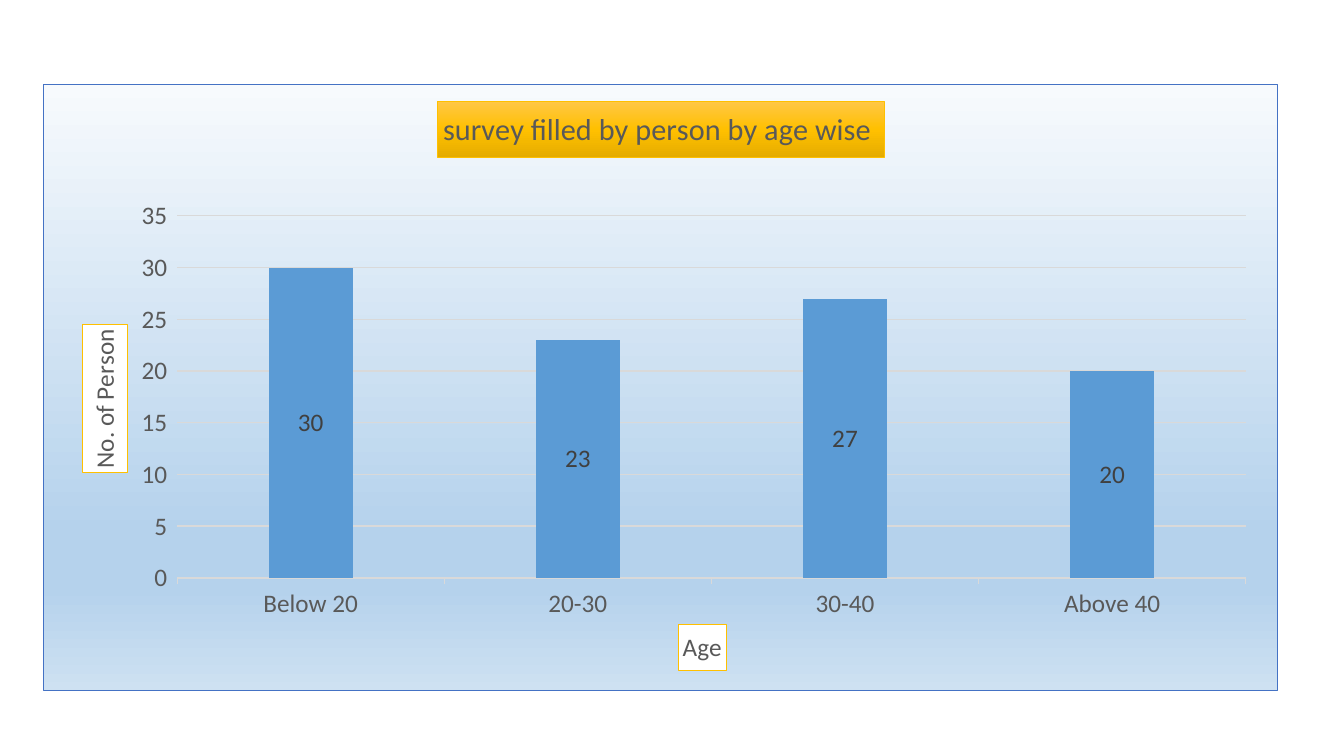
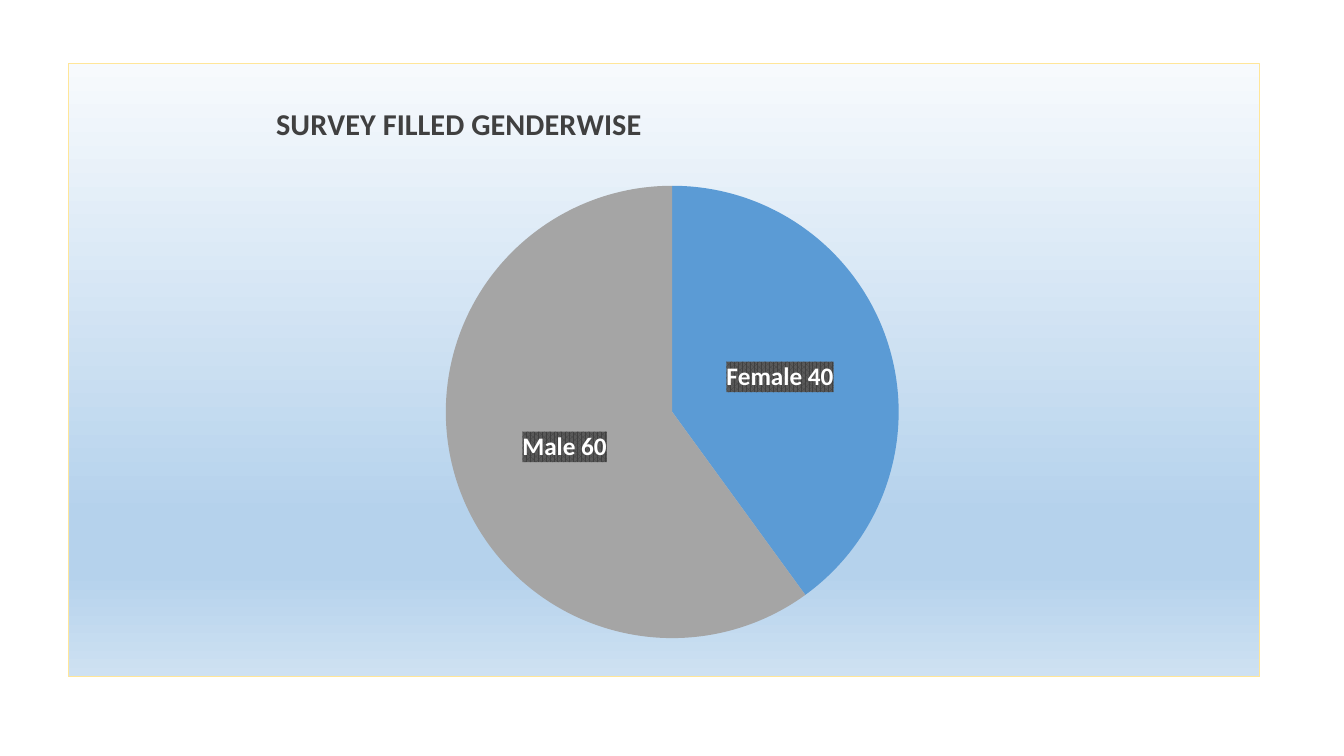
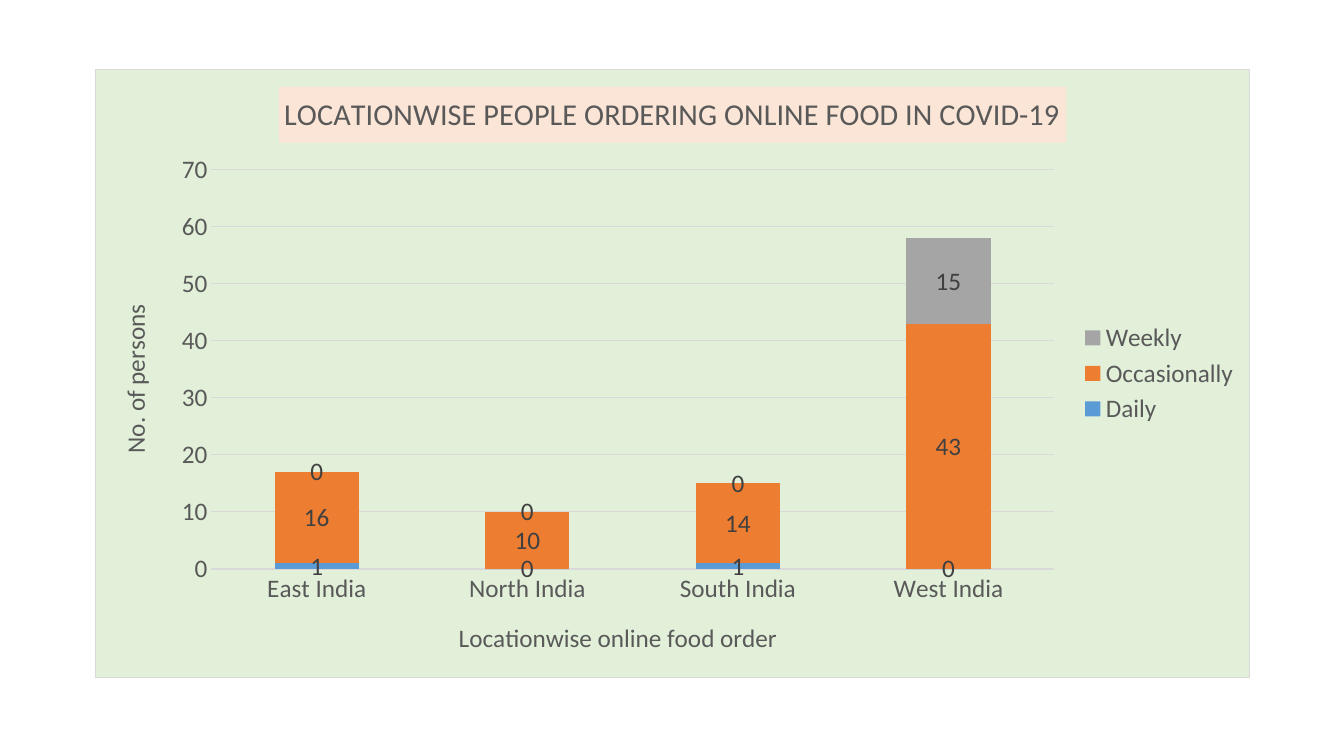
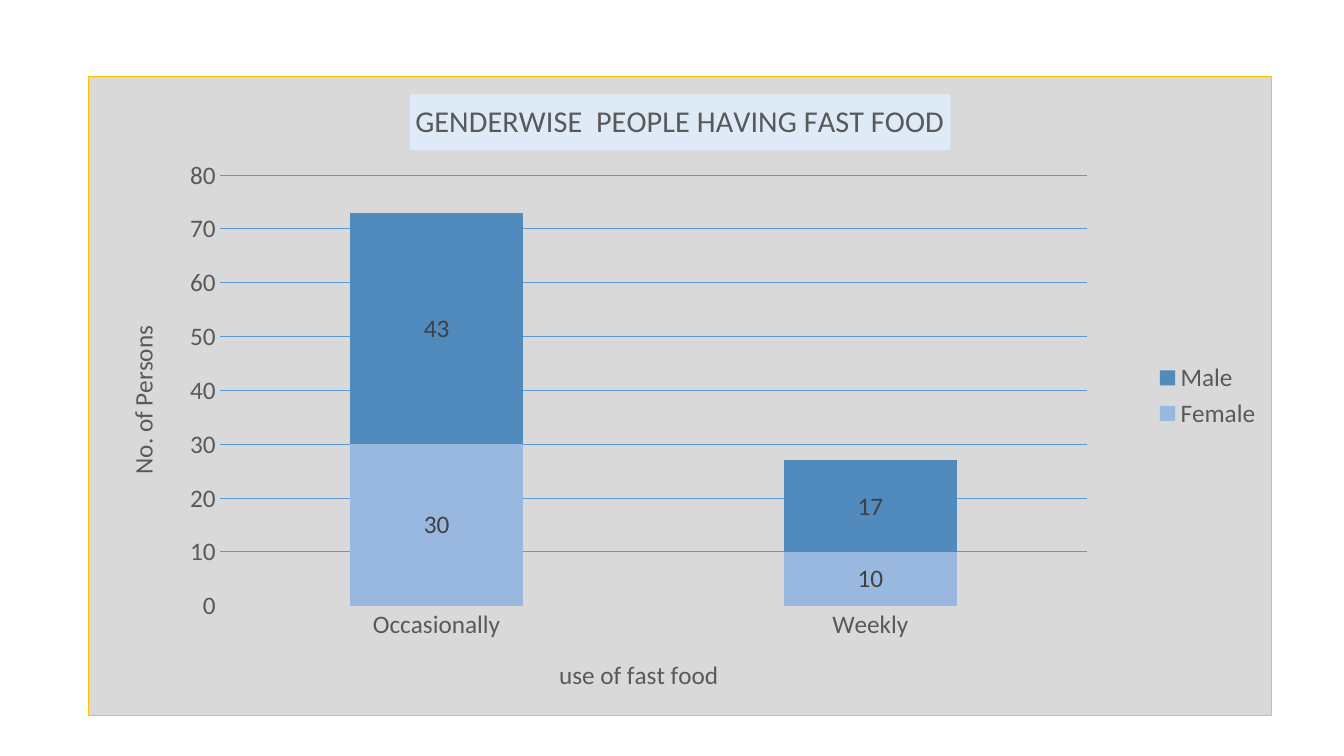
"""Build four slides of survey charts."""
import pptx
import pptx.chart.data
import pptx.dml.color
import pptx.dml.fill
import pptx.dml.line
import pptx.enum.chart
import pptx.oxml
import pptx.oxml.ns
import pptx.util

RGBColor = pptx.dml.color.RGBColor
ChartType = pptx.enum.chart.XL_CHART_TYPE
TickMark = pptx.enum.chart.XL_TICK_MARK
qn = pptx.oxml.ns.qn

PX = 9144
FONT = "Calibri"
BODY_SIZE = 18
TITLE_SIZE = 21.6

WHITE = RGBColor(0xFF, 0xFF, 0xFF)
TEXT_GRAY = RGBColor(0x59, 0x59, 0x59)
DARK_GRAY = RGBColor(0x40, 0x40, 0x40)
LINE_GRAY = RGBColor(0xD9, 0xD9, 0xD9)
GRAY = RGBColor(0xA5, 0xA5, 0xA5)
BLUE = RGBColor(0x5B, 0x9B, 0xD5)
BORDER_BLUE = RGBColor(0x44, 0x72, 0xC4)
SOFT_BLUE = RGBColor(0x98, 0xB8, 0xE0)
STEEL_BLUE = RGBColor(0x51, 0x8A, 0xBD)
PALE_BLUE = RGBColor(0xDE, 0xEB, 0xF7)
ORANGE = RGBColor(0xED, 0x7D, 0x31)
PALE_ORANGE = RGBColor(0xFB, 0xE5, 0xD6)
PALE_GREEN = RGBColor(0xE2, 0xF0, 0xD9)
GOLD = RGBColor(0xFF, 0xC0, 0x00)
PALE_GOLD = RGBColor(0xFF, 0xE6, 0x99)

SKY_GRADIENT = (
    (0, RGBColor(0xF7, 0xFA, 0xFD)),
    (74, RGBColor(0xB5, 0xD2, 0xEC)),
    (83, RGBColor(0xB5, 0xD2, 0xEC)),
    (100, RGBColor(0xCE, 0xE1, 0xF2)),
)
GOLD_GRADIENT = (
    (0, RGBColor(0xFF, 0xC7, 0x46)),
    (50, GOLD),
    (100, RGBColor(0xE5, 0xAC, 0x00)),
)


def make_element(tag, content="", attributes=""):
    """Return a new chart or drawing element."""
    names = pptx.oxml.ns.nsdecls("c", "a")
    return pptx.oxml.parse_xml(f"<{tag} {names} {attributes}>{content}</{tag}>")


def style_font(font, color, size=BODY_SIZE, bold=False):
    """Set the typeface, size, weight and colour of a font."""
    font.name = FONT
    font.size = pptx.util.Pt(size)
    font.bold = bold
    font.color.rgb = color


def style_line(line, color, width=0.75):
    """Set the colour and width of a line."""
    line.color.rgb = color
    line.width = pptx.util.Pt(width)


def paint(properties, fill, border=None):
    """Fill an area with a colour or gradient stops and draw its border."""
    if isinstance(fill, RGBColor):
        area_fill = pptx.dml.fill.FillFormat.from_fill_parent(properties)
        area_fill.solid()
        area_fill.fore_color.rgb = fill
    else:
        stops = "".join(
            f'<a:gs pos="{percent * 1000}"><a:srgbClr val="{color}"/></a:gs>'
            for percent, color in fill
        )
        content = f'<a:gsLst>{stops}</a:gsLst><a:lin ang="5400000" scaled="0"/>'
        properties.insert(0, make_element("a:gradFill", content))
    if border is not None:
        style_line(pptx.dml.line.LineFormat(properties), border)


def place(element, position, index):
    """Give a title or plot area a manual layout in fractions of the chart."""
    old_layout = element.find(qn("c:layout"))
    if old_layout is not None:
        element.remove(old_layout)
    tags = ["xMode", "yMode", "x", "y", "w", "h"]
    values = ["edge", "edge", *position]
    content = "".join(f'<c:{tag} val="{value}"/>' for tag, value in zip(tags, values))
    if len(position) == 4:
        content = '<c:layoutTarget val="inner"/>' + content
    layout = make_element("c:layout", f"<c:manualLayout>{content}</c:manualLayout>")
    element.insert(index, layout)


def set_title(title, text, size=BODY_SIZE, color=TEXT_GRAY, bold=False,
              fill=None, border=None, position=None):
    """Write, style and place a chart title or an axis title."""
    title.text_frame.text = text
    for para in title.text_frame.paragraphs:
        style_font(para.font, color, size, bold)
        for span in para.runs:
            style_font(span.font, color, size, bold)
    element = title.text_frame._txBody.getparent().getparent()
    if fill is not None:
        paint(element.get_or_add_spPr(), fill, border)
    if position is not None:
        place(element, position, 1)


def add_chart(deck, kind, box, categories, series, fill, border, title, plot_area=None):
    """Add a slide that holds one chart with a painted background and a title."""
    page = deck.slides.add_slide(deck.slide_layouts[6])
    data = pptx.chart.data.CategoryChartData()
    data.categories = categories
    for name, values in series:
        data.add_series(name, values)
    chart = page.shapes.add_chart(kind, *(length * PX for length in box), data).chart
    style_font(chart.font, TEXT_GRAY)
    root = chart._chartSpace
    if root.find(qn("c:roundedCorners")) is None:
        root.insert(0, make_element("c:roundedCorners", attributes='val="0"'))
    properties = make_element("c:spPr")
    root.find(qn("c:chart")).addnext(properties)
    paint(properties, fill, border)
    chart.has_legend = False
    chart.has_title = True
    set_title(chart.chart_title, size=TITLE_SIZE, **title)
    if plot_area:
        place(root.find(qn("c:chart")).find(qn("c:plotArea")), plot_area, 0)
    return chart


def style_labels(labels, color=DARK_GRAY, bold=False):
    """Show centred values as data labels."""
    style_font(labels.font, color, bold=bold)
    labels.show_value = True
    labels.position = pptx.enum.chart.XL_LABEL_POSITION.CENTER


def style_columns(chart, colors, gap, overlap):
    """Colour and label the columns of a chart."""
    plot = chart.plots[0]
    plot.vary_by_categories = False
    plot.gap_width = gap
    plot.overlap = overlap
    for series, color in zip(plot.series, colors):
        series.format.fill.solid()
        series.format.fill.fore_color.rgb = color
        style_labels(series.data_labels)


def style_axes(chart, category_title, value_title, maximum, step,
               grid=LINE_GRAY, grid_width=0.75, tick=TickMark.NONE):
    """Format both axes, their titles and the gridlines."""
    category_axis, value_axis = chart.category_axis, chart.value_axis
    for axis, title in ((category_axis, category_title), (value_axis, value_title)):
        axis.major_tick_mark = tick
        axis.minor_tick_mark = TickMark.NONE
        style_font(axis.tick_labels.font, TEXT_GRAY)
        set_title(axis.axis_title, **title)
    style_line(category_axis.format.line, LINE_GRAY)
    value_axis.format.line.fill.background()
    value_axis.minimum_scale = 0
    value_axis.maximum_scale = maximum
    value_axis.major_unit = step
    style_line(value_axis.major_gridlines.format.line, grid, grid_width)


def add_legend(chart):
    """Put a legend at the right of the plot."""
    chart.has_legend = True
    chart.legend.position = pptx.enum.chart.XL_LEGEND_POSITION.RIGHT
    chart.legend.include_in_layout = False
    style_font(chart.legend.font, TEXT_GRAY)


def add_age_slide(deck):
    """Add the column chart of answers by age."""
    chart = add_chart(
        deck, ChartType.COLUMN_CLUSTERED, (43, 83, 1225, 603),
        ["Below 20", "20-30", "30-40", "Above 40"],
        [("Series 1", [30, 23, 27, 20])], SKY_GRADIENT, BORDER_BLUE,
        {"text": "survey filled by person by age wise ",
         "fill": GOLD_GRADIENT, "border": GOLD},
        (0.108, 0.217, 0.866, 0.597))
    style_columns(chart, [BLUE], 219, -27)
    tag = {"fill": WHITE, "border": GOLD}
    style_axes(chart, {"text": "Age", "position": (0.514, 0.891), **tag},
               {"text": "No. of Person", "position": (0.031, 0.397), **tag},
               35, 5, grid_width=1, tick=TickMark.OUTSIDE)


def add_gender_slide(deck):
    """Add the pie chart of answers by gender."""
    chart = add_chart(
        deck, ChartType.PIE, (67, 62, 1183, 610), ["Female", "Male"],
        [("Series 1", [40, 60])], SKY_GRADIENT, PALE_GOLD,
        {"text": "SURVEY FILLED GENDERWISE", "color": DARK_GRAY, "bold": True,
         "position": (0.17, 0.055)},
        (0.317, 0.188, 0.38, 0.761))
    plot = chart.plots[0]
    plot.vary_by_categories = True
    series = plot.series[0]
    for index, color in enumerate((BLUE, GRAY)):
        slice_fill = series.points[index].format.fill
        slice_fill.solid()
        slice_fill.fore_color.rgb = color
    labels = series.data_labels
    style_labels(labels, WHITE, True)
    labels.show_category_name = True
    element = labels._element
    pattern = (
        f'<a:pattFill prst="pct75"><a:fgClr><a:srgbClr val="{DARK_GRAY}"/></a:fgClr>'
        f'<a:bgClr><a:srgbClr val="{TEXT_GRAY}"/></a:bgClr></a:pattFill>'
    )
    element.find(qn("c:txPr")).addprevious(make_element("c:spPr", pattern))
    element.find(qn("c:showBubbleSize")).addnext(make_element("c:separator", " "))


def add_location_slide(deck):
    """Add the stacked chart of online orders by location."""
    chart = add_chart(
        deck, ChartType.COLUMN_STACKED, (94, 68, 1146, 605),
        ["East India", "North India", "South India", "West India"],
        [("Daily", [1, 0, 1, 0]), ("Occasionally", [16, 10, 14, 43]),
         ("Weekly", [0, 0, 0, 15])], PALE_GREEN, LINE_GRAY,
        {"text": "LOCATIONWISE PEOPLE ORDERING ONLINE FOOD IN COVID-19",
         "fill": PALE_ORANGE})
    style_columns(chart, [BLUE, ORANGE, GRAY], 150, 100)
    style_axes(chart, {"text": "Locationwise online food order"},
               {"text": "No. of persons"}, 70, 10)
    add_legend(chart)


def add_fast_food_slide(deck):
    """Add the stacked chart of fast food use by gender."""
    chart = add_chart(
        deck, ChartType.COLUMN_STACKED, (87, 75, 1175, 635),
        ["Occasionally", "Weekly"],
        [("Female", [30, 10]), ("Male", [43, 17])], LINE_GRAY, GOLD,
        {"text": "GENDERWISE  PEOPLE HAVING FAST FOOD", "fill": PALE_BLUE},
        (0.111, 0.155, 0.733, 0.674))
    style_columns(chart, [SOFT_BLUE, STEEL_BLUE], 150, 100)
    style_axes(chart, {"text": "use of fast food"}, {"text": "No. of Persons"},
               80, 10, grid=BLUE)
    add_legend(chart)


def main():
    """Build the deck and save it."""
    deck = pptx.Presentation()
    deck.slide_width = 1333 * PX
    deck.slide_height = 750 * PX
    add_age_slide(deck)
    add_gender_slide(deck)
    add_location_slide(deck)
    add_fast_food_slide(deck)
    deck.save("out.pptx")


if __name__ == "__main__":
    main()
